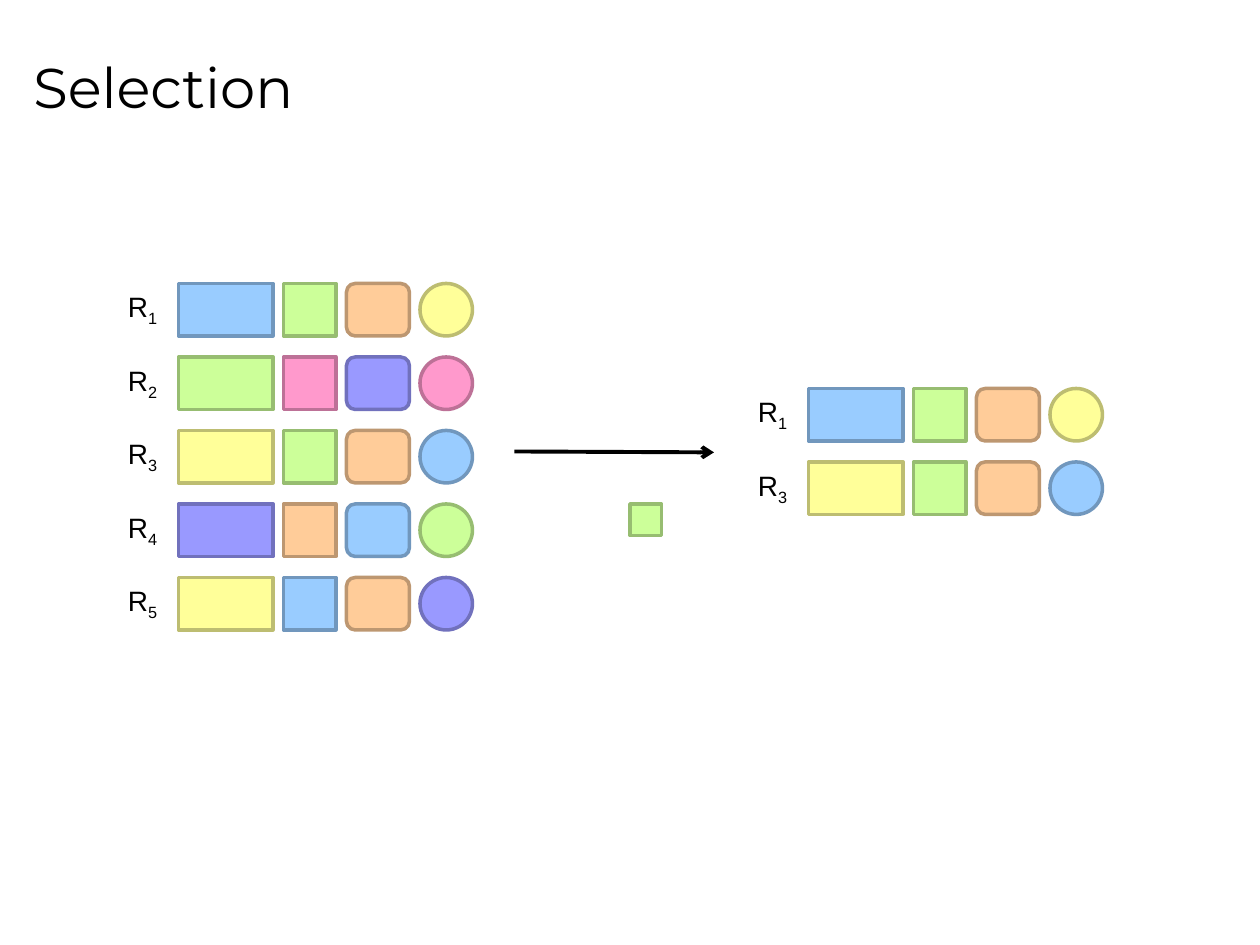
from lxml import etree
from pptx import Presentation
from pptx import util as u
from pptx.dml.color import RGBColor
from pptx.enum import shapes, text
from pptx.oxml.ns import qn

BLUE, GREEN, ORANGE = ("99CCFF", "7197BD"), ("CCFF99", "97BD71"), ("FFCC99", "BD9771")
YELLOW, PINK, PURPLE = ("FFFF99", "BDBD71"), ("FF99CC", "BD7197"), ("9999FF", "7171BD")
KIND = shapes.MSO_SHAPE
FIELDS = [
    (KIND.RECTANGLE, 36, 54),
    (KIND.RECTANGLE, 96, 30),
    (KIND.ROUNDED_RECTANGLE, 132, 36),
    (KIND.OVAL, 174, 30),
]
RECORDS = {
    1: (BLUE, GREEN, ORANGE, YELLOW),
    2: (GREEN, PINK, PURPLE, PINK),
    3: (YELLOW, GREEN, ORANGE, BLUE),
    4: (PURPLE, ORANGE, BLUE, GREEN),
    5: (YELLOW, BLUE, ORANGE, PURPLE),
}
ROW_HEIGHT, ROW_PITCH = 30, 42


def color(value):
    return RGBColor.from_string(value)


class Diagram:
    """Draws records, labels and arrows on one slide in a shared style."""

    ink, title_font, label_font = "000000", "Montserrat", "Arial"

    def __init__(self, slide):
        self.slide = slide

    def style_run(self, run, font, size):
        run.font.name, run.font.size = font, u.Pt(size)
        run.font.color.rgb = color(self.ink)

    def title(self, wording, left, top, width, height):
        frame = self.slide.shapes.add_textbox(*map(u.Pt, (left, top, width, height))).text_frame
        frame.word_wrap = True
        frame.vertical_anchor = text.MSO_ANCHOR.MIDDLE
        frame.text = wording
        self.style_run(frame.paragraphs[0].runs[0], self.title_font, 32)

    def label(self, number, left, top):
        frame = self.slide.shapes.add_textbox(*map(u.Pt, (left, top, 32.4, 26.6))).text_frame
        frame.word_wrap = False
        frame.auto_size = text.MSO_AUTO_SIZE.SHAPE_TO_FIT_TEXT
        paragraph = frame.paragraphs[0]
        for wording in ("R", str(number)):
            run = paragraph.add_run()
            run.text = wording
            self.style_run(run, self.label_font, 16)
        run._r.get_or_add_rPr().set("baseline", "-25000")

    def block(self, kind, left, top, width, height, colors):
        shape = self.slide.shapes.add_shape(kind, *map(u.Pt, (left, top, width, height)))
        shape.shadow.inherit = False
        fill, outline = colors
        shape.fill.solid()
        shape.fill.fore_color.rgb = color(fill)
        shape.line.color.rgb = color(outline)
        shape.line.width = u.Pt(2)

    def arrow(self, *ends):
        connector = self.slide.shapes.add_connector(shapes.MSO_CONNECTOR.STRAIGHT, *map(u.Pt, ends))
        connector.line.color.rgb = color(self.ink)
        connector.line.width = u.Pt(2.25)
        etree.SubElement(connector.line._get_or_add_ln(), qn("a:tailEnd"), type="arrow")
        etree.SubElement(connector._element.spPr, qn("a:effectLst"))

    def relation(self, numbers, left, top):
        for row, number in enumerate(numbers):
            row_top = top + row * ROW_PITCH
            self.label(number, left, row_top)
            for (kind, offset, width), colors in zip(FIELDS, RECORDS[number]):
                self.block(kind, left + offset, row_top, width, ROW_HEIGHT, colors)


def main():
    presentation = Presentation()
    presentation.slide_width, presentation.slide_height = u.Pt(720), u.Pt(540)
    diagram = Diagram(presentation.slides.add_slide(presentation.slide_layouts[6]))
    diagram.title("Selection", 12, 9, 684, 80.5)
    diagram.relation(RECORDS, 66, 162)
    diagram.arrow(294, 258, 408, 258.5)
    diagram.block(KIND.RECTANGLE, 360, 288, 18, 18, GREEN)
    diagram.relation((1, 3), 426, 222)
    presentation.save("out.pptx")


if __name__ == "__main__":
    main()
